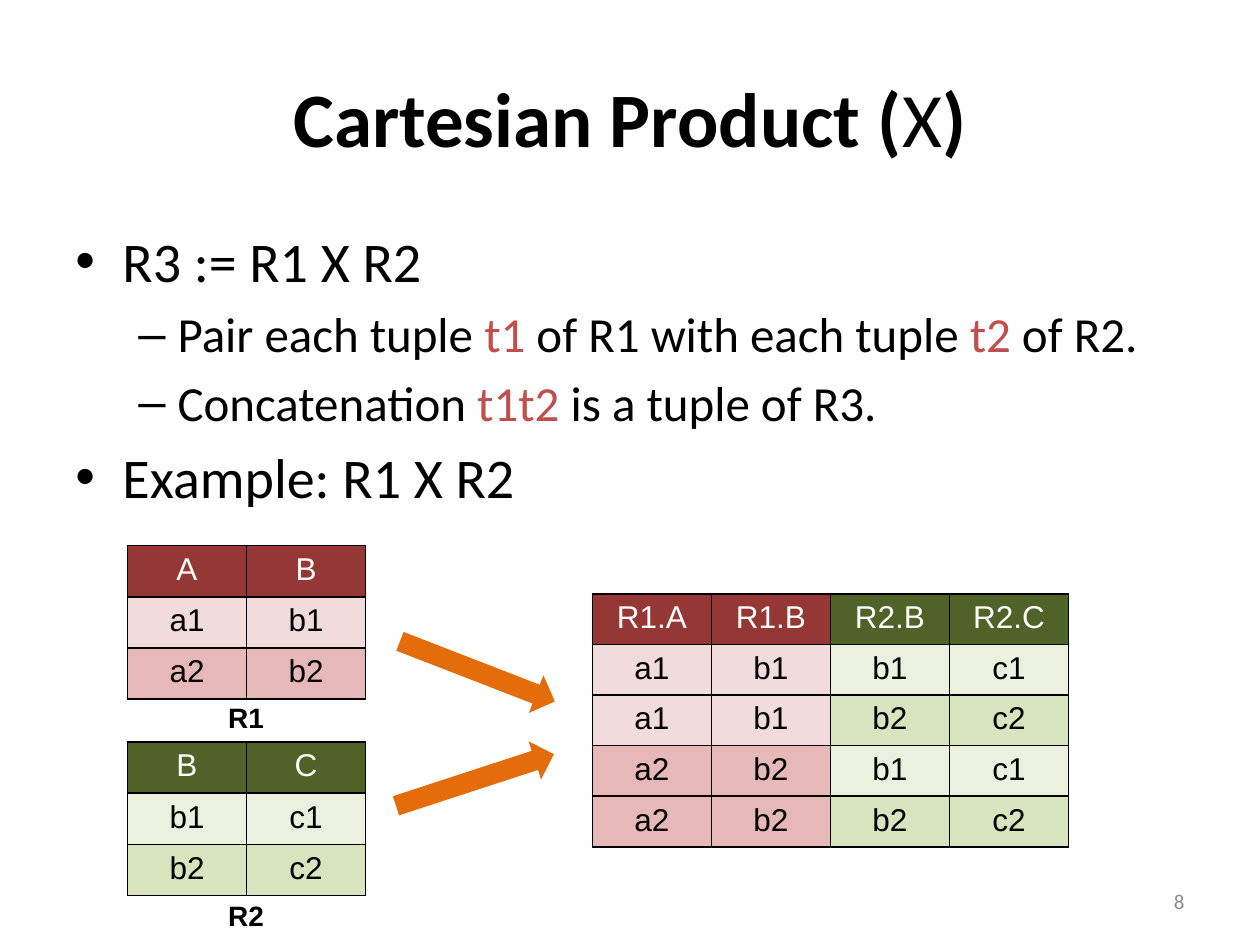
from itertools import product

from lxml import etree
from pptx import Presentation
from pptx.dml import color
from pptx.enum import shapes, text
from pptx.oxml import ns
from pptx.util import Cm, Pt

BLACK, WHITE, GREY, ORANGE, ACCENT = "000000", "FFFFFF", "8C8C8C", "E46C0A", "C0504D"
CENTER, RIGHT = text.PP_ALIGN.CENTER, text.PP_ALIGN.RIGHT

TITLE = [("Cartesian Product (", {"bold": True}), ("X", {"bold": False}), (")", {"bold": True})]
BODY = [
    (0, [("R3 := R1 X R2", BLACK)]),
    (1, [("Pair each tuple ", BLACK), ("t1", ACCENT), (" of R1 with each tuple ", BLACK),
         ("t2", ACCENT), (" of R2.", BLACK)]),
    (1, [("Concatenation ", BLACK), ("t1t2", ACCENT), (" is a tuple of R3.", BLACK)]),
    (0, [("Example: R1 X R2", BLACK)]),
]
LEVELS = [  # bullet, size, left margin and hanging indent in cm
    {"bullet": "•", "size": 32, "margin": 0.95, "hang": 0.95},
    {"bullet": "–", "size": 28, "margin": 2.06, "hang": 0.79},
]

# Each relation: header and tuples, with the fill of every row
R1 = {"name": "R1", "rows": [("A", "B"), ("a1", "b1"), ("a2", "b2")],
      "fills": ["953735", "F2DCDB", "E6B9B8"]}
R2 = {"name": "R2", "rows": [("B", "C"), ("b1", "c1"), ("b2", "c2")],
      "fills": ["4F6228", "EBF1DE", "D7E4BD"]}
SOURCES = [(R1, 11.0, 14.0), (R2, 14.96, 17.98)]  # table top, label top
ARROWS = [(7.95, 13.13, 21.2), (7.9, 15.32, 341.9)]  # left, top, rotation
COLUMN_WIDTH = 2.4


def rgb(value):
    return color.RGBColor.from_string(value)


def add_span(para, words, **formats):
    span = para.add_run()
    span.text = words
    formats = {"name": "Calibri", "size": 18, "color": BLACK} | formats
    span.font.color.rgb = rgb(formats.pop("color"))
    formats["size"] = Pt(formats["size"])
    for key, value in formats.items():
        setattr(span.font, key, value)


def add_box(slide, left, top, width, height, anchor=text.MSO_ANCHOR.TOP):
    frame = slide.shapes.add_textbox(Cm(left), Cm(top), Cm(width), Cm(height)).text_frame
    frame.word_wrap = True
    frame.vertical_anchor = anchor
    return frame


def add_bullet(para, level):
    properties = para._p.get_or_add_pPr()
    properties.set("marL", str(Cm(level["margin"])))
    properties.set("indent", str(-Cm(level["hang"])))
    etree.SubElement(properties, ns.qn("a:buFont"), typeface="Arial")
    etree.SubElement(properties, ns.qn("a:buChar"), char=level["bullet"])


def add_borders(cell):
    """Put 1 pt black lines on all sides; the lines must come before the fill."""
    properties = cell._tc.get_or_add_tcPr()
    for index, side in enumerate(("a:lnL", "a:lnR", "a:lnT", "a:lnB")):
        line = etree.Element(ns.qn(side), w=str(Pt(1)))
        fill = etree.SubElement(line, ns.qn("a:solidFill"))
        etree.SubElement(fill, ns.qn("a:srgbClr"), val=BLACK)
        properties.insert(index, line)


def relation_cells(relation):
    """Rows of (word, fill) pairs."""
    return [[(word, fill) for word in row]
            for row, fill in zip(relation["rows"], relation["fills"])]


def product_cells(first, second):
    """Join every tuple of one relation to every tuple of the other."""
    first_cells, second_cells = relation_cells(first), relation_cells(second)
    header = [(f"{relation['name']}.{word}", fill)
              for relation, cells in ((first, first_cells), (second, second_cells))
              for word, fill in cells[0]]
    return [header] + [a + b for a, b in product(first_cells[1:], second_cells[1:])]


def add_relation(slide, cells, left, top, row_height):
    rows, columns = len(cells), len(cells[0])
    table = slide.shapes.add_table(rows, columns, Cm(left), Cm(top), Cm(COLUMN_WIDTH * columns),
                                   Cm(row_height * rows)).table
    for column in table.columns:
        column.width = Cm(COLUMN_WIDTH)
    for r, row in enumerate(cells):
        table.rows[r].height = Cm(row_height)
        for c, (word, fill) in enumerate(row):
            cell = table.cell(r, c)
            cell.fill.solid()
            cell.fill.fore_color.rgb = rgb(fill)
            add_borders(cell)
            para = cell.text_frame.paragraphs[0]
            para.alignment = CENTER
            add_span(para, word, name="Arial", color=BLACK if r else WHITE, bold=False)


def add_arrow(slide, left, top, rotation):
    arrow = slide.shapes.add_shape(shapes.MSO_SHAPE.RIGHT_ARROW,
                                   Cm(left), Cm(top), Cm(3.35), Cm(0.81))
    arrow.rotation = rotation
    arrow.shadow.inherit = False
    arrow.fill.solid()
    arrow.fill.fore_color.rgb = rgb(ORANGE)
    arrow.line.fill.background()


def main():
    deck = Presentation()
    deck.slide_width, deck.slide_height = Cm(25.4), Cm(19.05)
    slide = deck.slides.add_slide(deck.slide_layouts[6])

    para = add_box(slide, 1.27, 0.76, 22.86, 3.18, text.MSO_ANCHOR.MIDDLE).paragraphs[0]
    para.alignment = CENTER
    for words, formats in TITLE:
        add_span(para, words, size=44, **formats)

    frame = add_box(slide, 1.27, 4.45, 22.86, 12.57)
    for index, (depth, spans) in enumerate(BODY):
        level = LEVELS[depth]
        para = frame.add_paragraph() if index else frame.paragraphs[0]
        para.level = depth
        if index:
            para.space_before = Pt(level["size"] * 0.2)
        add_bullet(para, level)
        for words, shade in spans:
            add_span(para, words, size=level["size"], color=shade)

    for relation, top, label_top in SOURCES:
        add_relation(slide, relation_cells(relation), 2.57, top, 1.03)
        para = add_box(slide, 3.46, label_top, 3.0, 0.94).paragraphs[0]
        para.alignment = CENTER
        add_span(para, relation["name"], name="Arial", size=16, bold=True)
    add_relation(slide, product_cells(R1, R2), 11.94, 11.97, 1.02)

    for arrow in ARROWS:
        add_arrow(slide, *arrow)

    para = add_box(slide, 18.2, 17.66, 5.93, 1.01, text.MSO_ANCHOR.MIDDLE).paragraphs[0]
    para.alignment = RIGHT
    add_span(para, "8", size=12, color=GREY)

    deck.save("out.pptx")


if __name__ == "__main__":
    main()
